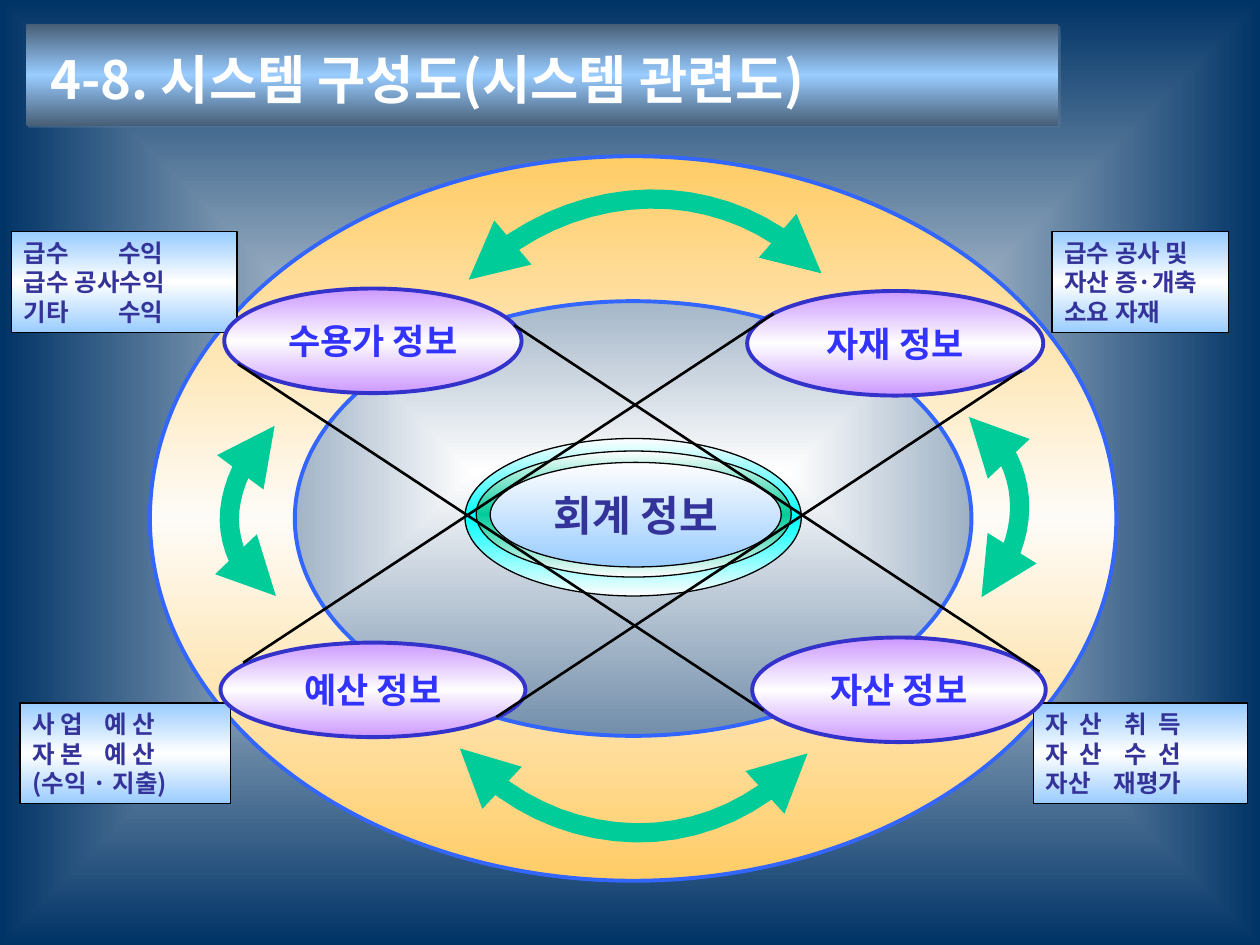
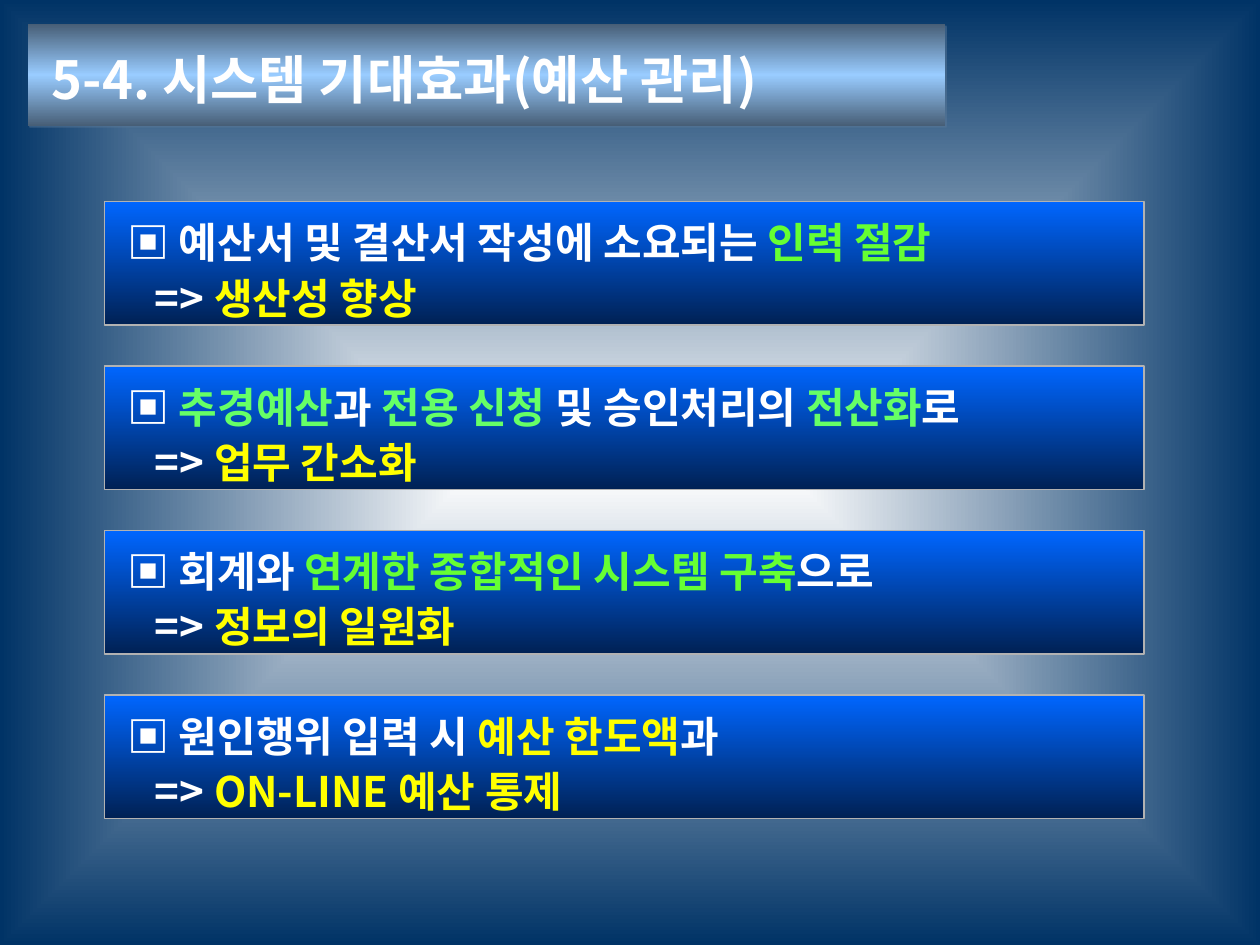
from dataclasses import dataclass

from lxml.etree import SubElement
from pptx import Presentation
from pptx.dml.color import RGBColor
from pptx.enum.shapes import MSO_CONNECTOR, MSO_SHAPE
from pptx.enum.text import MSO_ANCHOR, MSO_AUTO_SIZE, PP_ALIGN
from pptx.oxml.ns import qn
from pptx.util import Inches, Pt


@dataclass(frozen=True)
class Theme:
    font: str = "Noto Sans CJK KR"
    serif: str = "Times New Roman"
    background: tuple = ("FFFFFF", "003366")
    title_band: tuple = ("475E76", "99CCFF", "475E76")
    title_shadow: str = "5B7998"
    ring: tuple = ("FFCC66", "FEFCF8", "FFCC66")
    ring_line: str = "3366FF"
    note: tuple = ("99CCFF", "FFFFFF", "99CCFF")
    node: tuple = ("CC99FF", "FEFEFE", "CC99FF")
    node_line: str = "3333CC"
    node_text: str = "3333FF"
    cyan_halo: tuple = ("FEFEFE", "00FFFF", "FEFEFE")
    green_halo: tuple = ("FEFEFE", "00CC99", "FEFEFE")
    core: tuple = ("FEFEFE", "99CCFF")
    navy: str = "333399"
    arrow: str = "00CC99"
    panel: tuple = ("0066FF", "002154")
    panel_line: str = "B2B2B2"
    black: str = "000000"
    white: str = "FFFFFF"
    yellow: str = "FFFF00"
    lime: str = "66FF33"
    mint: str = "66FF66"
    title_size: int = 30
    large_size: int = 24
    node_size: int = 20
    note_size: int = 14


THEME = Theme()


# Shared formatting
def paint_gradient(element, colors, path=None):
    gradient = next(element.iter(qn("a:gradFill")))
    for child in list(gradient):
        gradient.remove(child)
    stops = SubElement(gradient, qn("a:gsLst"))
    for index, color in enumerate(colors):
        position = 100000 * index // (len(colors) - 1)
        stop = SubElement(stops, qn("a:gs"), pos=str(position))
        SubElement(stop, qn("a:srgbClr"), val=color)
    if path:
        shade = SubElement(gradient, qn("a:path"), {"path": path})
        sides = dict.fromkeys("ltrb", "50000")
        SubElement(shade, qn("a:fillToRect"), sides)
    else:
        SubElement(gradient, qn("a:lin"), ang="5400000", scaled="0")


def set_line(shape, color, width):
    shape.line.color.rgb = RGBColor.from_string(color)
    shape.line.width = Pt(width)


def add_filled_shape(slide, kind, box, colors, line_color, line_width=0.75):
    shape = slide.shapes.add_shape(kind, *map(Inches, box))
    shape.shadow.inherit = False
    shape.fill.gradient()
    paint_gradient(shape._element.spPr, colors)
    set_line(shape, line_color, line_width)
    return shape


def set_frame(shape, insets, anchor=MSO_ANCHOR.MIDDLE):
    frame = shape.text_frame
    frame.word_wrap = True
    frame.auto_size = MSO_AUTO_SIZE.NONE
    frame.vertical_anchor = anchor
    (frame.margin_left, frame.margin_top,
     frame.margin_right, frame.margin_bottom) = map(Inches, insets)
    return frame


def get_paragraph(frame, index):
    return frame.paragraphs[0] if index == 0 else frame.add_paragraph()


def add_run(paragraph, text, size, color, font=THEME.font):
    run = paragraph.add_run()
    run.text = text
    run.font.size = Pt(size)
    run.font.bold = True
    run.font.color.rgb = RGBColor.from_string(color)
    run.font.name = font
    SubElement(run.font._element, qn("a:ea"), typeface=THEME.font)


def add_tabs(paragraph, positions):
    tabs = SubElement(paragraph._p.get_or_add_pPr(), qn("a:tabLst"))
    for position in positions:
        SubElement(tabs, qn("a:tab"), pos=str(Inches(position)), algn="l")


# Title band
def add_title(slide, text, left, width):
    title = slide.shapes.title
    title.left, title.top = Inches(left), Inches(0.19)
    title.width, title.height = Inches(width), Inches(0.81)
    title.fill.gradient()
    paint_gradient(title._element.spPr, THEME.title_band)
    title.line.fill.background()
    effects = SubElement(title._element.spPr, qn("a:effectLst"))
    shadow = SubElement(effects, qn("a:outerShdw"), dist=str(Pt(1.4)),
                        dir="2700000", algn="ctr", rotWithShape="0")
    color = SubElement(shadow, qn("a:srgbClr"), val=THEME.title_shadow)
    SubElement(color, qn("a:alpha"), val="50000")
    frame = set_frame(title, (0.19, 0.11, 0.1, 0.05))
    paragraph = frame.paragraphs[0]
    paragraph.alignment = PP_ALIGN.LEFT
    add_run(paragraph, text, THEME.title_size, THEME.white)


# System diagram parts
def add_note(slide, box, lines, font):
    shape = add_filled_shape(slide, MSO_SHAPE.RECTANGLE, box, THEME.note,
                             THEME.black)
    frame = set_frame(shape, (0.1, 0.05, 0, 0.05), MSO_ANCHOR.TOP)
    for index, (text, tabs) in enumerate(lines):
        paragraph = get_paragraph(frame, index)
        paragraph.alignment = PP_ALIGN.LEFT
        paragraph.line_spacing = Pt(16.8)
        if tabs:
            add_tabs(paragraph, tabs)
        add_run(paragraph, text, THEME.note_size, THEME.navy, font)


def add_label(shape, text, size, color, font=THEME.font):
    paragraph = set_frame(shape, (0, 0, 0, 0)).paragraphs[0]
    paragraph.alignment = PP_ALIGN.CENTER
    add_run(paragraph, text, size, color, font)


def add_link(slide, start, end):
    link = slide.shapes.add_connector(MSO_CONNECTOR.STRAIGHT,
                                      *map(Inches, start + end))
    set_line(link, THEME.black, 1.5)
    SubElement(link._element.spPr, qn("a:effectLst"))


def curve_points(points, steps=10):
    """Sample a chain of cubic curves that share their end points."""
    for first in range(0, len(points) - 1, 3):
        controls = points[first:first + 4]
        for step in range(1, steps + 1):
            t = step / steps
            weights = ((1 - t) ** 3, 3 * t * (1 - t) ** 2,
                       3 * t ** 2 * (1 - t), t ** 3)
            yield tuple(Inches(sum(w * point[axis] for w, point
                                   in zip(weights, controls)))
                        for axis in (0, 1))


def add_curved_arrow(slide, points):
    builder = slide.shapes.build_freeform(*map(Inches, points[0]))
    builder.add_line_segments(list(curve_points(points)), close=False)
    arrow = builder.convert_to_shape()
    arrow.shadow.inherit = False
    arrow.fill.background()
    set_line(arrow, THEME.arrow, 11)
    for end in ("a:headEnd", "a:tailEnd"):
        SubElement(arrow.line._ln, qn(end), type="triangle")


NOTES = [
    ((0.09, 1.84, 1.79, 0.8), THEME.serif,
     [("급수\t수익", [0.75]), ("급수 공사수익", []), ("기타\t수익", [0.75])]),
    ((0.16, 5.58, 1.67, 0.8), THEME.font,
     [("사 업\t예 산", [0.57]), ("자 본\t예 산", [0.57]),
      ("(수익 · 지출)", [])]),
    ((8.35, 1.84, 1.4, 0.8), THEME.font,
     [("급수 공사 및", []), ("자산 증·개축", []), ("소요 자재", [])]),
    ((8.2, 5.58, 1.7, 0.8), THEME.serif,
     [("자\t산\t취\t득", [0.27, 0.63, 0.9]),
      ("자\t산\t수\t선", [0.27, 0.63, 0.9]), ("자산\t재평가", [0.54])]),
]
NODES = [
    ("수용가 정보", (1.78, 2.29, 2.36, 0.83)),
    ("자재 정보", (5.93, 2.31, 2.35, 0.83)),
    ("예산 정보", (1.75, 5.1, 2.42, 0.75)),
    ("자산 정보", (5.97, 5.06, 2.33, 0.83)),
]
LINKS = [
    ((1.93, 5.26), (6.14, 2.49)), ((3.94, 5.69), (8.11, 2.94)),
    ((1.89, 2.89), (6.06, 5.64)), ((4.08, 2.58), (8.25, 5.33)),
]
ARROWS = [
    [(2.18, 3.38), (1.95, 3.59), (1.82, 3.87), (1.82, 4.13),
     (1.83, 4.4), (1.96, 4.62), (2.19, 4.73)],
    [(3.65, 5.94), (4, 6.36), (4.51, 6.6), (5.04, 6.61),
     (5.57, 6.62), (6.07, 6.38), (6.41, 5.98)],
    [(7.79, 4.74), (8, 4.52), (8.11, 4.23), (8.09, 3.96),
     (8.07, 3.68), (7.92, 3.44), (7.69, 3.31)],
    [(6.52, 2.17), (6.18, 1.79), (5.68, 1.57), (5.15, 1.58),
     (4.61, 1.59), (4.09, 1.83), (3.72, 2.22)],
]


def build_diagram_slide(slide):
    add_title(slide, "4-8. 시스템 구성도(시스템 관련도)", 0.21, 8.19)
    # Halos and outer ring
    for box, colors in (((3.69, 3.48, 2.67, 1.25), THEME.cyan_halo),
                        ((3.78, 3.58, 2.5, 1), THEME.green_halo)):
        add_filled_shape(slide, MSO_SHAPE.OVAL, box, colors, THEME.black)
    ring = add_filled_shape(slide, MSO_SHAPE.DONUT, (1.19, 1.24, 7.67, 5.75),
                            THEME.ring, THEME.ring_line, 2.25)
    ring.adjustments[0] = 0.2
    # Corner notes and information nodes
    for box, font, lines in NOTES:
        add_note(slide, box, lines, font)
    for text, box in NODES:
        node = add_filled_shape(slide, MSO_SHAPE.OVAL, box, THEME.node,
                                THEME.node_line, 2.25)
        add_label(node, text, THEME.node_size, THEME.node_text)
    core = add_filled_shape(slide, MSO_SHAPE.OVAL, (3.89, 3.67, 2.31, 0.83),
                            THEME.core, THEME.black)
    add_label(core, "회계 정보", THEME.large_size, THEME.navy, THEME.serif)
    # Links and circulation arrows
    for start, end in LINKS:
        add_link(slide, start, end)
    for points in ARROWS:
        add_curved_arrow(slide, points)


# Effect panels: each has a statement and its result
WHITE, YELLOW, LIME, MINT = THEME.white, THEME.yellow, THEME.lime, THEME.mint
EFFECTS = [
    ([("▣ 예산서 및 결산서 작성에 소요되는 ", WHITE), ("인력 절감", LIME)],
     "생산성 향상"),
    ([("▣ ", WHITE), ("추경예산", MINT), ("과 ", WHITE), ("전용 신청", MINT),
      (" 및 승인처리의 ", WHITE), ("전산화", MINT), ("로", WHITE)],
     "업무 간소화"),
    ([("▣ 회계와 ", WHITE), ("연계한 종합적인 시스템 구축", LIME),
      ("으로", WHITE)], "정보의 일원화"),
    ([("▣ 원인행위 입력 시 ", WHITE), ("예산 한도액", YELLOW), ("과", WHITE)],
     "ON-LINE 예산 통제"),
]


def add_effect_panel(slide, box, statement, result):
    panel = add_filled_shape(slide, MSO_SHAPE.RECTANGLE, box, THEME.panel,
                             THEME.panel_line)
    frame = set_frame(panel, (0.18, 0.1, 0.1, 0.04))
    lines = (statement, [("=> ", WHITE), (result, YELLOW)])
    for index, runs in enumerate(lines):
        paragraph = get_paragraph(frame, index)
        paragraph.alignment = PP_ALIGN.LEFT
        paragraph.line_spacing = Pt(31.6)
        if index:
            paragraph._p.get_or_add_pPr().set("marL", str(Inches(0.22)))
        for text, color in runs:
            add_run(paragraph, text, THEME.large_size, color)


def build_effects_slide(slide):
    add_title(slide, "5-4. 시스템 기대효과(예산 관리)", 0.22, 7.28)
    top, pitch = 1.6, 1.305
    for index, (statement, result) in enumerate(EFFECTS):
        box = (0.83, top + index * pitch, 8.25, 0.98)
        add_effect_panel(slide, box, statement, result)


def main():
    presentation = Presentation()
    presentation.slide_width, presentation.slide_height = Inches(10), Inches(7.5)
    master = presentation.slide_master
    master.background.fill.gradient()
    paint_gradient(master._element.cSld, THEME.background, "rect")
    title_only = presentation.slide_layouts[5]
    for build_slide in (build_diagram_slide, build_effects_slide):
        build_slide(presentation.slides.add_slide(title_only))
    presentation.save("out.pptx")


if __name__ == "__main__":
    main()
